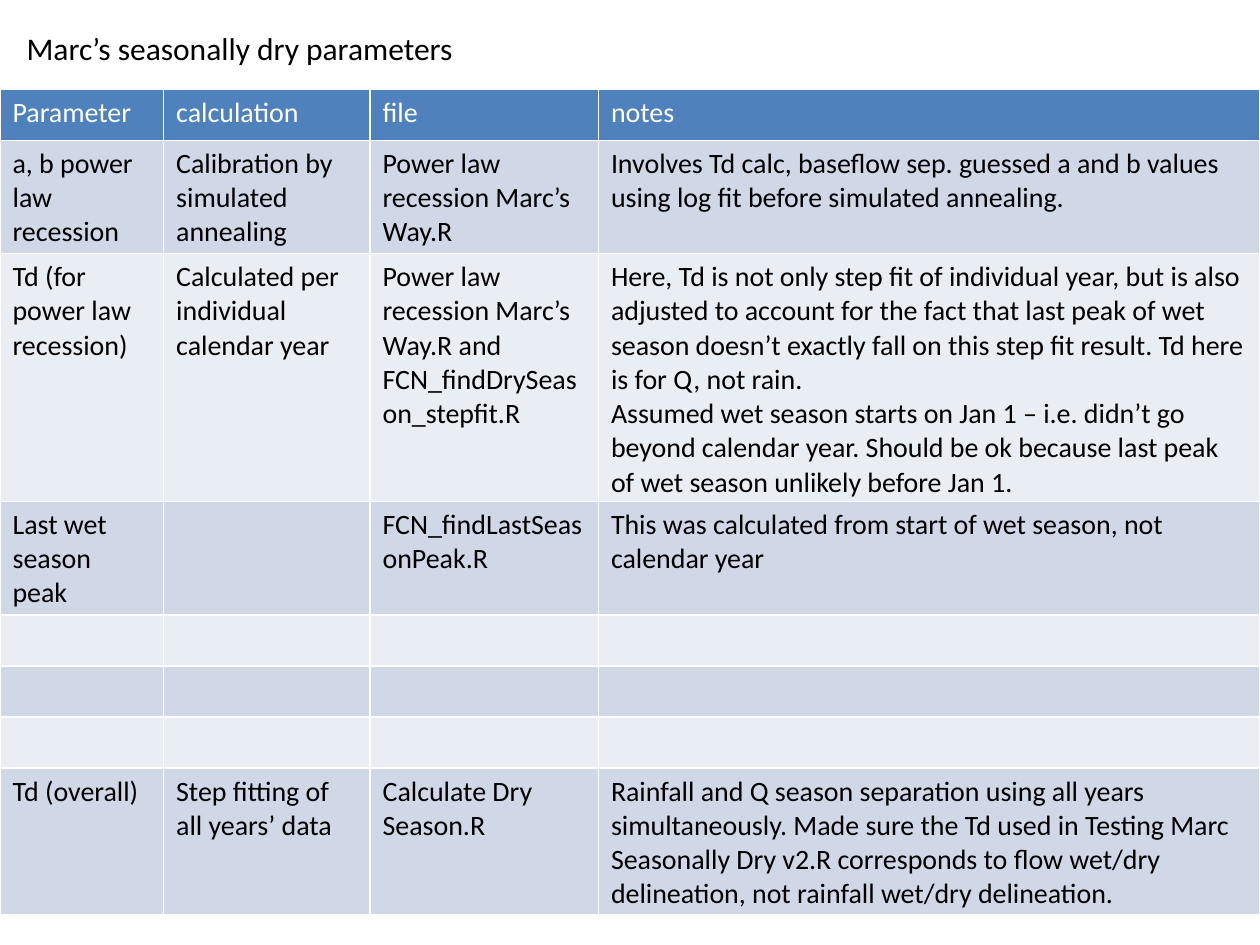
from pptx import Presentation
from pptx.dml.color import RGBColor
from pptx.enum.text import MSO_ANCHOR, MSO_AUTO_SIZE, PP_ALIGN
from pptx.util import Pt

COLORS = {
    "header": "4F81BD",
    "dark band": "D0D8E8",
    "light band": "E9EDF4",
    "text": "000000",
    "header text": "FFFFFF",
}
COLUMN_WIDTHS = [93.5, 118, 130.5, 378]
ROW_HEIGHT = 29.2
EMPTY_ROW = ["", "", "", ""]
PARAMETERS = [
    ["Parameter", "calculation", "file", "notes"],
    ["a, b power law recession", "Calibration by simulated annealing",
     "Power law recession Marc’s Way.R",
     "Involves Td calc, baseflow sep. guessed a and b values using log fit "
     "before simulated annealing."],
    ["Td (for power law recession)", "Calculated per individual calendar year",
     "Power law recession Marc’s Way.R and FCN_findDrySeason_stepfit.R",
     "Here, Td is not only step fit of individual year, but is also adjusted to "
     "account for the fact that last peak of wet season doesn’t exactly fall on "
     "this step fit result. Td here is for Q, not rain.\n"
     "Assumed wet season starts on Jan 1 – i.e. didn’t go beyond calendar year. "
     "Should be ok because last peak of wet season unlikely before Jan 1."],
    ["Last wet season peak", "", "FCN_findLastSeasonPeak.R",
     "This was calculated from start of wet season, not calendar year"],
    EMPTY_ROW,
    EMPTY_ROW,
    EMPTY_ROW,
    ["Td (overall)", "Step fitting of all years’ data", "Calculate Dry Season.R",
     "Rainfall and Q season separation using all years simultaneously. Made sure "
     "the Td used in Testing Marc Seasonally Dry v2.R corresponds to flow wet/dry "
     "delineation, not rainfall wet/dry delineation."],
]


class SlideBuilder:
    font_name = "Calibri"
    title_size = 18
    table_size = 16

    def __init__(self, slide):
        self.slide = slide

    def add_text(self, paragraph, text, size, color):
        run = paragraph.add_run()
        run.text = text
        run.font.name = self.font_name
        run.font.size = Pt(size)
        run.font.bold = False
        run.font.color.rgb = RGBColor.from_string(COLORS[color])

    def title(self, text, left, top, width, height):
        heading = self.slide.shapes.title
        heading.left, heading.top = Pt(left), Pt(top)
        heading.width, heading.height = Pt(width), Pt(height)
        frame = heading.text_frame
        frame.word_wrap = False
        frame.auto_size = MSO_AUTO_SIZE.SHAPE_TO_FIT_TEXT
        frame.vertical_anchor = MSO_ANCHOR.TOP
        frame.paragraphs[0].alignment = PP_ALIGN.LEFT
        self.add_text(frame.paragraphs[0], text, self.title_size, "text")

    def cell(self, cell, text, fill, color):
        cell.fill.solid()
        cell.fill.fore_color.rgb = RGBColor.from_string(COLORS[fill])
        if not text:
            return
        frame = cell.text_frame
        for index, line in enumerate(text.split("\n")):
            paragraph = frame.add_paragraph() if index else frame.paragraphs[0]
            self.add_text(paragraph, line, self.table_size, color)

    def table(self, rows, widths, left, top, row_height):
        """Add a table with a header row and alternating bands below it."""
        table = self.slide.shapes.add_table(
            len(rows), len(widths), Pt(left), Pt(top),
            Pt(sum(widths)), Pt(row_height * len(rows))).table
        for column, width in zip(table.columns, widths):
            column.width = Pt(width)
        for index, (row, texts) in enumerate(zip(table.rows, rows)):
            row.height = Pt(row_height)
            if index == 0:
                fill, color = "header", "header text"
            else:
                fill, color = "dark band" if index % 2 else "light band", "text"
            for cell, text in zip(row.cells, texts):
                self.cell(cell, text, fill, color)


def main():
    presentation = Presentation()
    presentation.slide_width, presentation.slide_height = Pt(720), Pt(540)
    title_only = presentation.slide_layouts[5]
    builder = SlideBuilder(presentation.slides.add_slide(title_only))
    builder.title("Marc’s seasonally dry parameters", 8, 13, 263, 29)
    builder.table(PARAMETERS, COLUMN_WIDTHS, 0, 51, ROW_HEIGHT)
    presentation.save("out.pptx")


if __name__ == "__main__":
    main()
